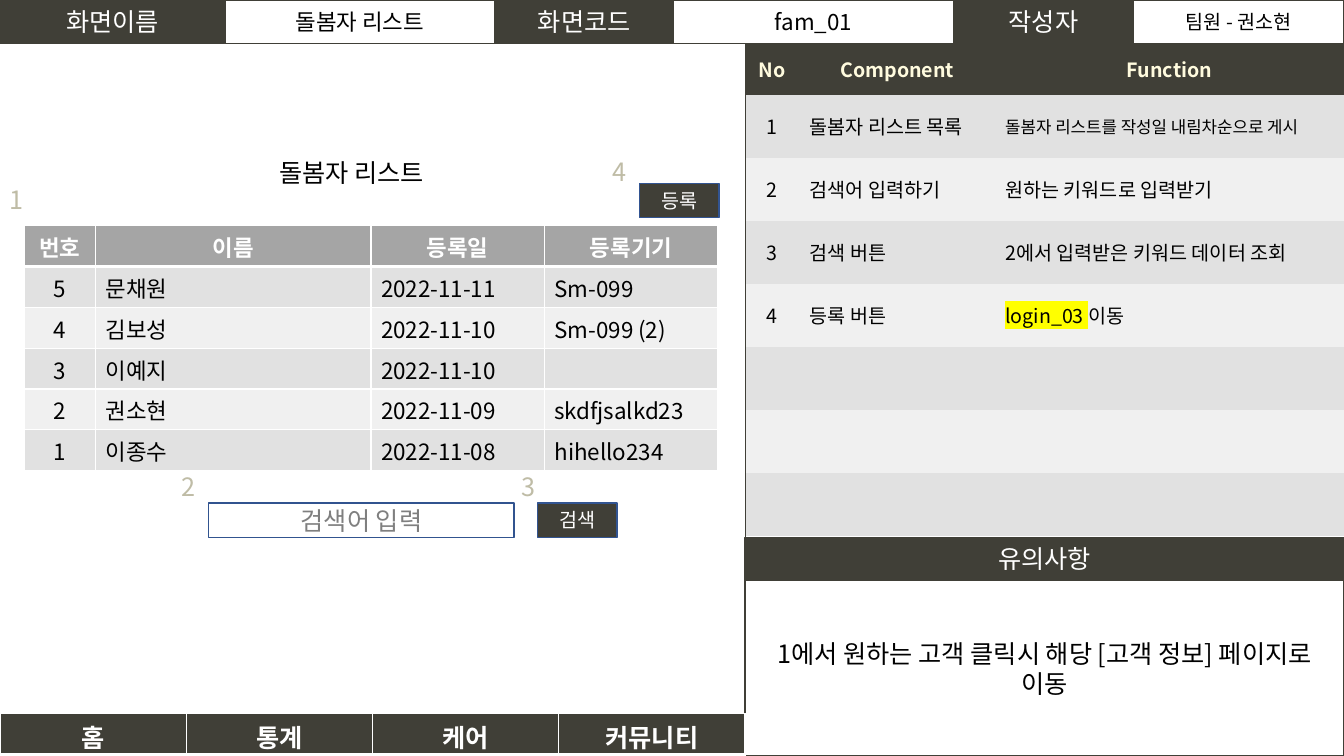
import pptx
import pptx.util
import pptx.dml.color
import pptx.enum.shapes
import pptx.enum.text
import pptx.oxml.ns
from lxml import etree

Inches = pptx.util.Inches
CENTER = pptx.enum.text.PP_ALIGN.CENTER
LEFT = pptx.enum.text.PP_ALIGN.LEFT
MIDDLE = pptx.enum.text.MSO_ANCHOR.MIDDLE
TOP = pptx.enum.text.MSO_ANCHOR.TOP
FONT = "Noto Sans CJK KR"
DARK, WHITE, BLACK, GRAY = "403F37", "FFFFFF", "000000", "A5A5A5"
CREAM, MARKER, BUTTON_LINE, FIELD_LINE = "FFFBDE", "BFBCA6", "325491", "31538F"
BANDS = ("E1E1E1", "F0F0F0")
NO_GRID_STYLE = "{2D5ABB26-0587-4C30-8999-92F81FD0307C}"
PANEL_LEFT, PANEL_WIDTH = 7.39, 5.94


def color(value):
    return pptx.dml.color.RGBColor.from_string(value)


def add_xml(parent, tag, **attributes):
    return etree.SubElement(parent, pptx.oxml.ns.qn(tag), attributes)


def format_run(run, size, text_color, bold=False):
    run.font.size = pptx.util.Pt(size)
    run.font.bold = bold
    run.font.color.rgb = color(text_color)
    run.font.name = FONT
    add_xml(run.font._element, "a:ea", typeface=FONT)


def write(text_frame, text, size, text_color, align=LEFT, bold=False):
    text_frame.text = text
    paragraph = text_frame.paragraphs[0]
    paragraph.alignment = align
    for run in paragraph.runs:
        format_run(run, size, text_color, bold)
    if not text:
        add_xml(paragraph._p, "a:endParaRPr", sz=str(size * 100))


def add_box(slide, box, text, size, fill, text_color, line=DARK):
    shape = slide.shapes.add_shape(
        pptx.enum.shapes.MSO_SHAPE.RECTANGLE, *map(Inches, box))
    shape.shadow.inherit = False
    shape.fill.solid()
    shape.fill.fore_color.rgb = color(fill)
    shape.line.color.rgb = color(line)
    shape.line.width = pptx.util.Pt(1)
    shape.text_frame.word_wrap = True
    shape.text_frame.vertical_anchor = MIDDLE
    write(shape.text_frame, text, size, text_color, CENTER)


def add_label(slide, left, top, width, text, text_color):
    label = slide.shapes.add_textbox(*map(Inches, (left, top, width, 0.4)))
    label.text_frame.word_wrap = False
    write(label.text_frame, text, 18, text_color)


def add_line(slide, start, end, line_color):
    line = slide.shapes.add_connector(
        pptx.enum.shapes.MSO_CONNECTOR.STRAIGHT, *map(Inches, start + end))
    line.line.color.rgb = color(line_color)
    line.line.width = pptx.util.Pt(0.5)
    add_xml(line._element.spPr, "a:effectLst")


def add_borders(cell, bottom_width):
    properties = cell._tc.get_or_add_tcPr()
    for index, side in enumerate(("L", "R", "T", "B")):
        width = bottom_width if side == "B" else 1
        border = etree.Element(pptx.oxml.ns.qn("a:ln" + side),
                               w=str(pptx.util.Pt(width)))
        add_xml(add_xml(border, "a:solidFill"), "a:srgbClr", val=WHITE)
        properties.insert(index, border)


def add_table(slide, left, top, columns, heights, rows, size, header_fill,
              header_color, anchor=TOP, borders=True):
    frame = slide.shapes.add_table(
        len(rows), len(columns),
        *map(Inches, (left, top, sum(columns), sum(heights))))
    table = frame.table
    table._tbl.tblPr.find(pptx.oxml.ns.qn("a:tableStyleId")).text = NO_GRID_STYLE
    for column, width in zip(table.columns, columns):
        column.width = Inches(width)
    for row_index, texts in enumerate(rows):
        table.rows[row_index].height = Inches(heights[row_index])
        header = row_index == 0
        fill = header_fill if header else BANDS[(row_index - 1) % 2]
        for column_index, text in enumerate(texts):
            cell = table.cell(row_index, column_index)
            cell.fill.solid()
            cell.fill.fore_color.rgb = color(fill)
            cell.vertical_anchor = anchor
            align = CENTER if header or column_index == 0 else LEFT
            write(cell.text_frame, text, size,
                  header_color if header else BLACK, align, header)
            if borders:
                add_borders(cell, 3 if header else 1)
    return table


def highlight(run, value):
    mark = etree.Element(pptx.oxml.ns.qn("a:highlight"))
    add_xml(mark, "a:srgbClr", val=value)
    run.font._element.find(pptx.oxml.ns.qn("a:solidFill")).addnext(mark)


def add_title_bar(slide):
    add_line(slide, (2.62, 0.43), (13.27, 0.43), "4472C4")
    fields = [
        ("화면이름", 0, 2.23, 18), ("돌봄자 리스트", 2.23, 2.68, 16),
        ("화면코드", 4.91, 1.77, 18), ("fam_01", 6.68, 2.78, 16),
        ("작성자", 9.46, 1.78, 18), ("팀원 - 권소현", 11.24, 2.09, 14),
    ]
    for index, (text, left, width, size) in enumerate(fields):
        fill, text_color = (WHITE, BLACK) if index % 2 else (DARK, WHITE)
        add_box(slide, (left, 0, width, 0.43), text, size, fill, text_color)


def add_description_panel(slide):
    add_box(slide, (PANEL_LEFT, 5.33, PANEL_WIDTH, 0.43), "유의사항", 18,
            DARK, WHITE)
    add_box(slide, (PANEL_LEFT, 5.76, PANEL_WIDTH, 1.74),
            "1에서 원하는 고객 클릭시 해당 [고객 정보] 페이지로 이동", 18,
            WHITE, BLACK)
    rows = [
        ("No", "Component", "Function"),
        ("1", "돌봄자 리스트 목록", "돌봄자 리스트를 작성일 내림차순으로 게시"),
        ("2", "검색어 입력하기", "원하는 키워드로 입력받기"),
        ("3", "검색 버튼", "2에서 입력받은 키워드 데이터 조회"),
        ("4", "등록 버튼", "login_03 "),
    ] + [("", "", "")] * 3
    table = add_table(slide, PANEL_LEFT, 0.43, (0.54, 1.94, 3.46),
                      [0.51] + [0.625] * 7, rows, 14, DARK, CREAM,
                      MIDDLE, borders=False)
    table.cell(1, 2).text_frame.paragraphs[0].runs[0].font.size = pptx.util.Pt(12)

    # Highlighted target screen
    target = table.cell(4, 2).text_frame.paragraphs[0]
    highlight(target.runs[0], "FFFF00")
    move = target.add_run()
    move.text = "이동"
    format_run(move, 14, BLACK)
    add_line(slide, (PANEL_LEFT, 0.43), (PANEL_LEFT, 7.5), DARK)


def add_screen(slide):
    add_label(slide, 2.67, 1.51, 1.81, "돌봄자 리스트", BLACK)

    # Bottom navigation
    add_table(slide, 0, 7.08, [PANEL_LEFT / 4] * 4, [0.41],
              [("홈", "통계", "케어", "커뮤니티")], 18, DARK, WHITE)

    # Member list
    rows = [
        ("번호", "이름", "등록일", "등록기기"),
        ("5", "문채원", "2022-11-11", "Sm-099"),
        ("4", "김보성", "2022-11-10", "Sm-099 (2)"),
        ("3", "이예지", "2022-11-10", ""),
        ("2", "권소현", "2022-11-09", "skdfjsalkd23"),
        ("1", "이종수", "2022-11-08", "hihello234"),
    ]
    add_table(slide, 0.24, 2.24, (0.71, 2.73, 1.72, 1.72), [0.405] * 6,
              rows, 16, GRAY, WHITE)

    # Search field and buttons
    add_box(slide, (2.07, 4.99, 3.03, 0.34), "검색어 입력", 18, WHITE,
            "7F7F7F", FIELD_LINE)
    for text, left, top in (("검색", 5.33, 4.99), ("등록", 6.34, 1.82)):
        add_box(slide, (left, top, 0.79, 0.34), text, 14, DARK, WHITE,
                BUTTON_LINE)

    # Component markers
    markers = ((0, 1.78), (1.7, 4.63), (5.07, 4.63), (5.98, 1.5))
    for number, (left, top) in enumerate(markers, 1):
        add_label(slide, left, top, 0.34, str(number), MARKER)


def main():
    presentation = pptx.Presentation()
    presentation.slide_width = Inches(13.33)
    presentation.slide_height = Inches(7.5)
    slide = presentation.slides.add_slide(presentation.slide_layouts[6])
    add_title_bar(slide)
    add_description_panel(slide)
    add_screen(slide)
    presentation.save("out.pptx")


if __name__ == "__main__":
    main()
